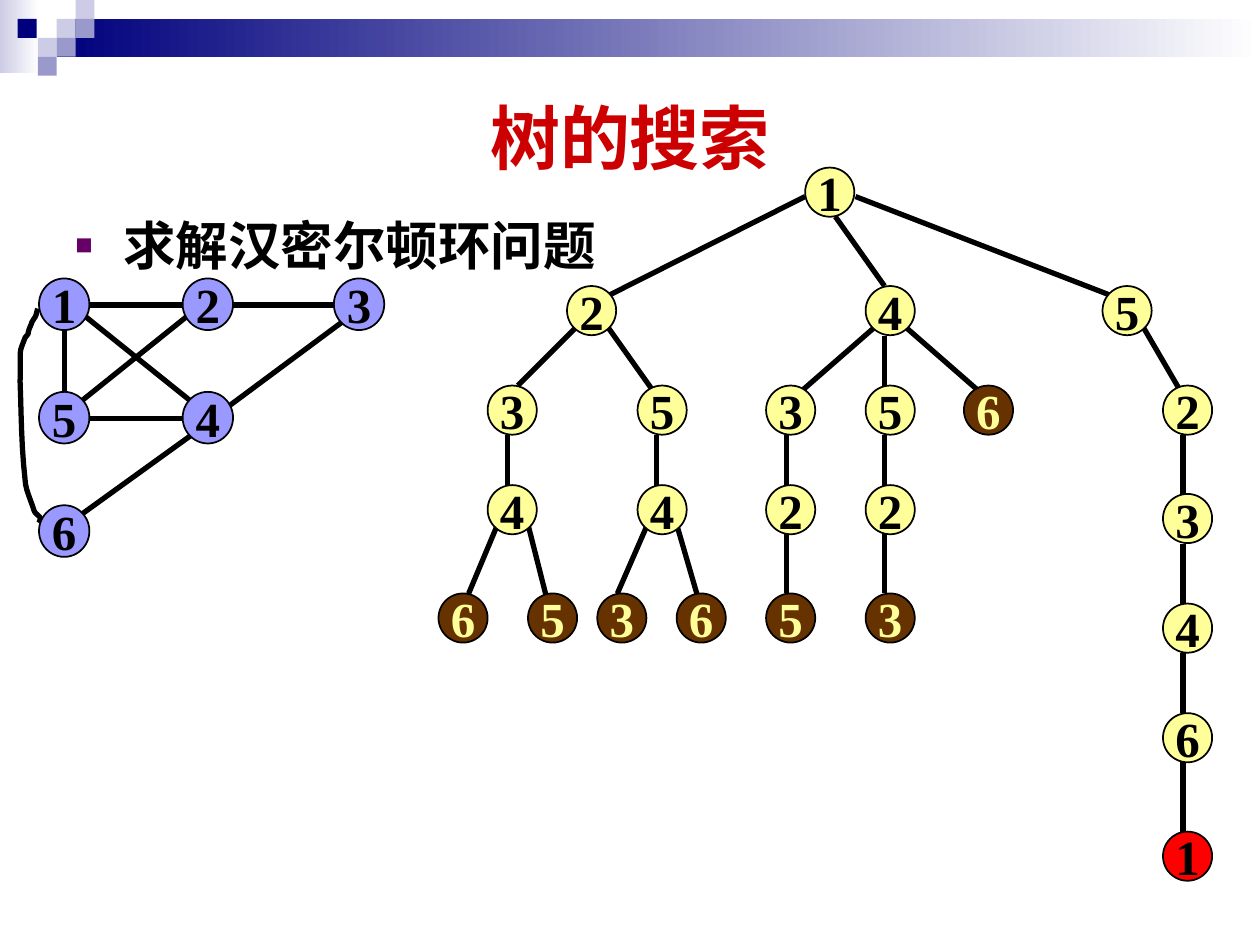
"""Build the slide on tree search for the Hamiltonian cycle problem."""
from dataclasses import dataclass
from typing import NamedTuple

from lxml import etree
from pptx import Presentation
from pptx import util as u
from pptx.dml.color import RGBColor
from pptx.enum import shapes, text
from pptx.oxml.ns import qn


@dataclass(frozen=True)
class Theme:
    black: str = "000000"
    title: str = "CC0000"
    bullet: str = "660066"
    navy: str = "00007D"
    violet: str = "9999CC"
    pale: str = "CCCCE6"
    white: str = "FFFFFF"
    graph: str = "9999FF"
    open: str = "FFFF99"
    dead: str = "663300"
    found: str = "FF0000"
    sans: str = "Arial"
    serif: str = "Times New Roman"
    title_size: int = 40
    body_size: int = 30
    node_size: int = 28
    edge_width: int = 3
    rim_width: int = 1


class Block(NamedTuple):
    x: float
    y: float
    w: float
    h: float
    color: str
    fade: bool = False


class Node(NamedTuple):
    label: str
    x: float
    y: float
    fill: str
    w: float = 0.39
    h: float = 0.39


class Edge(NamedTuple):
    x1: float
    y1: float
    x2: float
    y2: float


T = Theme()
SIDE = 0.15
ROWS = (1.33, 2.27, 3.06, 3.85, 4.71)
BLOCKS = [Block(0, 0, 0.31, 0.58, T.pale, True), Block(0.45, 0.15, 9.55, 0.3, T.navy, True)] + [
    Block(x, y, SIDE, SIDE, color) for x, y, color in (
        (0.45, 0.15, T.pale), (0.6, 0, T.pale), (0.6, 0.15, T.violet), (0.3, 0.3, T.pale),
        (0.14, 0.15, T.navy), (0.45, 0.3, T.violet), (0.3, 0.45, T.violet))]

GRAPH_NODES = [Node(label, x, 2.21 + 0.9 * row, T.graph, 0.4, 0.41) for label, x, row in (
    ("1", 0.31, 0), ("2", 1.45, 0), ("5", 0.31, 1), ("4", 1.45, 1), ("3", 2.65, 0), ("6", 0.31, 2))]
GRAPH_EDGES = [
    Edge(0.71, 2.42, 1.45, 2.42), Edge(1.85, 2.42, 2.65, 2.42), Edge(0.51, 2.63, 0.51, 3.11),
    Edge(0.71, 3.32, 1.45, 3.32), Edge(0.65, 2.49, 1.51, 3.18), Edge(0.65, 3.18, 1.51, 2.49),
    Edge(2.71, 2.56, 1.78, 3.25), Edge(1.51, 3.46, 0.65, 4.08)]
LOOP_START = (0.3, 2.45)
LOOP_CURVES = [
    ((0.29, 2.48), (0.29, 2.51), (0.27, 2.53)), ((0.26, 2.55), (0.25, 2.56), (0.25, 2.57)),
    ((0.2, 2.68), (0.25, 2.62), (0.2, 2.68)), ((0.14, 2.84), (0.17, 2.73), (0.16, 3.03)),
    ((0.17, 3.29), (0.17, 3.55), (0.2, 3.81)), ((0.2, 3.88), (0.25, 3.98), (0.27, 4.05)),
    ((0.28, 4.08), (0.31, 4.09), (0.32, 4.11)), ((0.32, 4.13), (0.31, 4.15), (0.31, 4.15))]

OPEN_ROWS = [
    [("1", 6.39)],
    [("2", 4.5), ("4", 6.87), ("5", 8.75)],
    [("3", 3.87), ("5", 5.06), ("3", 6.08), ("5", 6.87), ("2", 9.23)],
    [("4", 3.87), ("4", 5.06), ("2", 6.08), ("2", 6.87)]]
DEAD_LEAVES = [("6", 3.48), ("5", 4.19), ("3", 4.74), ("6", 5.37), ("5", 6.08), ("3", 6.87)]
TREE_NODES = (
    [Node(label, x, y, T.open) for y, row in zip(ROWS, OPEN_ROWS) for label, x in row]
    + [Node(label, x, ROWS[4], T.dead) for label, x in DEAD_LEAVES]
    + [Node("6", 7.65, ROWS[2], T.dead)]
    + [Node(label, 9.23, y, T.open) for label, y in (("3", 3.92), ("4", 4.79), ("6", 5.66))]
    + [Node("1", 9.23, 6.6, T.found)])
SLANTED = [
    Edge(6.39, 1.56, 4.82, 2.35), Edge(6.63, 1.72, 7.02, 2.27), Edge(6.79, 1.56, 8.83, 2.35),
    Edge(4.58, 2.59, 4.11, 3.06), Edge(4.82, 2.59, 5.21, 3.14), Edge(3.95, 4.16, 3.72, 4.71),
    Edge(4.19, 4.16, 4.35, 4.79), Edge(5.14, 4.16, 4.9, 4.71), Edge(5.37, 4.16, 5.53, 4.71),
    Edge(6.95, 2.59, 6.32, 3.14), Edge(7.18, 2.59, 7.81, 3.14), Edge(9.07, 2.59, 9.39, 3.14)]
UPRIGHT = {
    4.03: [(3.45, 3.85)], 5.21: [(3.45, 3.92)], 6.24: [(3.45, 3.92), (4.24, 4.71)],
    7.02: [(2.67, 3.14), (3.45, 3.92), (4.24, 4.71)],
    9.39: [(3.45, 3.92), (4.32, 4.79), (5.18, 5.66), (6.05, 6.6)]}
TREE_EDGES = SLANTED + [Edge(x, a, x, b) for x, spans in UPRIGHT.items() for a, b in spans]


def rgb(color: str) -> RGBColor:
    return RGBColor.from_string(color)


def style_text(p, size: int, font: str, color: str) -> None:
    for r in p.runs:
        r.font.size, r.font.name, r.font.bold = u.Pt(size), font, True
        r.font.color.rgb = rgb(color)


def set_line(sp, width: int) -> None:
    sp.line.color.rgb = rgb(T.black)
    sp.line.width = u.Pt(width)


def add_preset(s, kind, x: float, y: float, w: float, h: float):
    sp = s.shapes.add_shape(kind, *map(u.Inches, (x, y, w, h)))
    sp.shadow.inherit = False
    return sp


def add_block(s, block: Block) -> None:
    sp = add_preset(s, shapes.MSO_SHAPE.RECTANGLE, *block[:4])
    sp.line.fill.background()
    if block.fade:
        sp.fill.gradient()
        sp.fill.gradient_angle = 0
        for stop, color in zip(sp.fill.gradient_stops, (block.color, T.white)):
            stop.color.rgb = rgb(color)
    else:
        sp.fill.solid()
        sp.fill.fore_color.rgb = rgb(block.color)


def add_node(s, node: Node) -> None:
    sp = add_preset(s, shapes.MSO_SHAPE.OVAL, node.x, node.y, node.w, node.h)
    sp.fill.solid()
    sp.fill.fore_color.rgb = rgb(node.fill)
    set_line(sp, T.rim_width)
    tf = sp.text_frame
    tf.text = node.label
    tf.word_wrap = False
    tf.vertical_anchor = text.MSO_ANCHOR.MIDDLE
    p = tf.paragraphs[0]
    p.alignment = text.PP_ALIGN.CENTER
    style_text(p, T.node_size, T.serif, T.open if node.fill == T.dead else T.black)


def add_edge(s, edge: Edge) -> None:
    sp = s.shapes.add_connector(shapes.MSO_CONNECTOR.STRAIGHT, *map(u.Inches, edge))
    set_line(sp, T.edge_width)
    etree.SubElement(sp._element.spPr, qn("a:effectLst"))


def add_loop(s, steps: int = 6) -> None:
    points, start = [], LOOP_START
    for a, b, end in LOOP_CURVES:
        for t in (i / steps for i in range(1, steps + 1)):
            points.append(tuple(
                u.Inches((1 - t) ** 3 * p0 + 3 * t * (1 - t) ** 2 * p1 + 3 * t * t * (1 - t) * p2 + t ** 3 * p3)
                for p0, p1, p2, p3 in zip(start, a, b, end)))
        start = end
    builder = s.shapes.build_freeform(*map(u.Inches, LOOP_START))
    builder.add_line_segments(points, close=False)
    sp = builder.convert_to_shape()
    sp.shadow.inherit = False
    sp.fill.background()
    set_line(sp, T.edge_width)


def add_title(s, words: str) -> None:
    sp = s.shapes.title
    sp.left, sp.top, sp.width, sp.height = map(u.Inches, (0.5, 0.5, 9, 1.16))
    tf = sp.text_frame
    tf.text = words
    tf.vertical_anchor = text.MSO_ANCHOR.MIDDLE
    p = tf.paragraphs[0]
    p.alignment = text.PP_ALIGN.CENTER
    style_text(p, T.title_size, T.sans, T.title)


def add_body(s, words: str) -> None:
    tf = s.shapes.add_textbox(*map(u.Inches, (0.5, 1.62, 9, 5.2))).text_frame
    tf.word_wrap = True
    p = tf.paragraphs[0]
    p.text = words
    p.line_spacing, p.space_before = 1.05, u.Pt(4.5)
    style_text(p, T.body_size, T.sans, T.black)
    pPr = p._p.get_or_add_pPr()
    pPr.set("marL", str(u.Inches(0.38)))
    pPr.set("indent", str(u.Inches(-0.38)))
    color = etree.SubElement(pPr, qn("a:buClr"))
    etree.SubElement(color, qn("a:srgbClr"), val=T.bullet)
    etree.SubElement(pPr, qn("a:buSzPct"), val="55000")
    etree.SubElement(pPr, qn("a:buFont"), typeface=T.sans)
    etree.SubElement(pPr, qn("a:buChar"), char="■")


def main() -> None:
    prs = Presentation()
    prs.slide_width, prs.slide_height = u.Inches(10), u.Inches(7.5)
    s = prs.slides.add_slide(prs.slide_layouts[5])
    for block in BLOCKS:
        add_block(s, block)
    add_title(s, "树的搜索")
    add_body(s, "求解汉密尔顿环问题")
    add_loop(s)
    for edge in GRAPH_EDGES + TREE_EDGES:
        add_edge(s, edge)
    for node in GRAPH_NODES + TREE_NODES:
        add_node(s, node)
    prs.save("out.pptx")


main()
